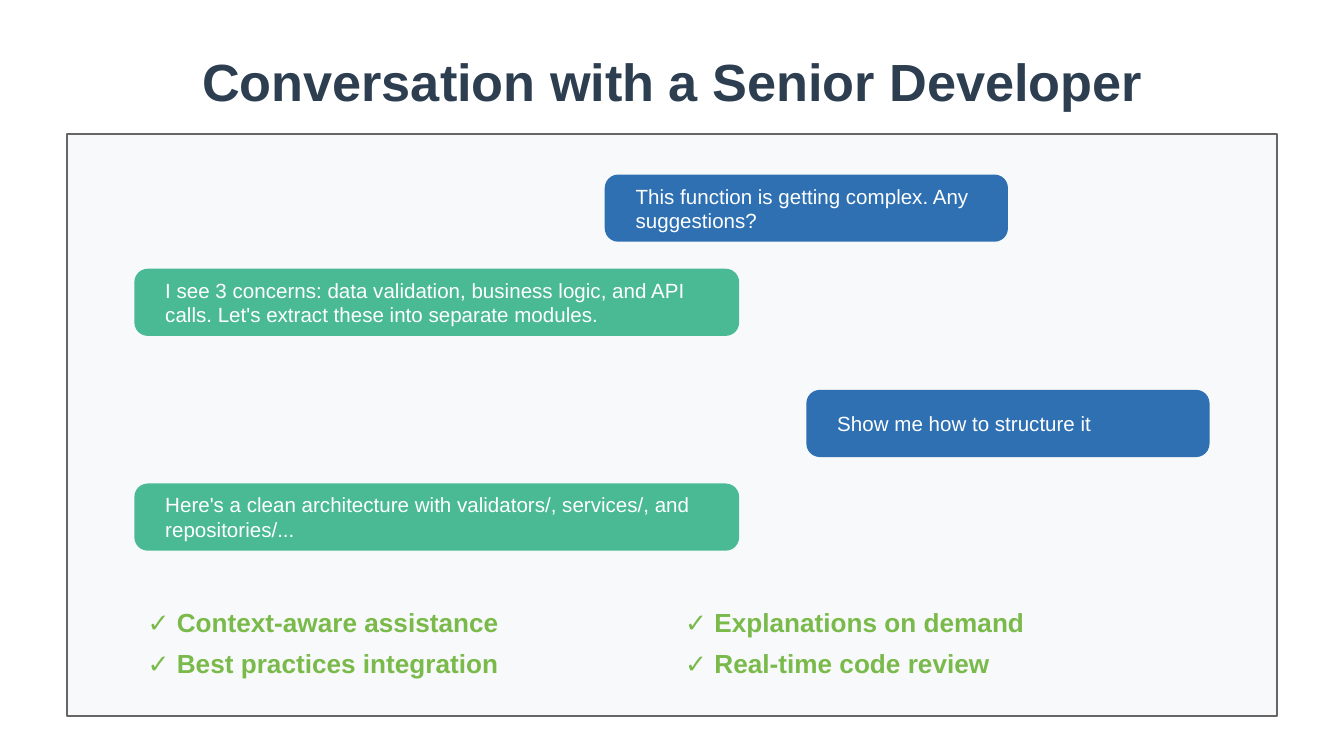
import dataclasses

import pptx
import pptx.dml.color
import pptx.enum.shapes
import pptx.enum.text
import pptx.oxml
import pptx.oxml.ns
import pptx.util

Cm = pptx.util.Cm
Pt = pptx.util.Pt
Anchor = pptx.enum.text.MSO_ANCHOR
Align = pptx.enum.text.PP_ALIGN
Preset = pptx.enum.shapes.MSO_SHAPE


@dataclasses.dataclass(frozen=True)
class Theme:
    font: str = "Arial"
    heading: str = "2C3E50"
    panel: str = "F8F9FA"
    border: str = "666666"
    question: str = "2E70B2"
    answer: str = "4ABA95"
    message: str = "FFFFFF"
    benefit: str = "79BA4A"
    title_size: float = 28
    message_size: float = 11
    benefit_size: float = 14
    benefit_spacing: float = 21.6


THEME = Theme()

MESSAGES = [
    (THEME.question, 11.43, 3.3, 7.62,
     "This function is getting complex. Any suggestions?"),
    (THEME.answer, 2.54, 5.08, 11.43,
     "I see 3 concerns: data validation, business logic, and API calls. "
     "Let's extract these into separate modules."),
    (THEME.question, 15.24, 7.37, 7.62, "Show me how to structure it"),
    (THEME.answer, 2.54, 9.14, 11.43,
     "Here's a clean architecture with validators/, services/, and repositories/..."),
]

BENEFITS = [
    (2.54, ["✓ Context-aware assistance", "✓ Best practices integration"]),
    (12.7, ["✓ Explanations on demand", "✓ Real-time code review"]),
]


def rgb(color):
    return pptx.dml.color.RGBColor.from_string(color)


def place(item, left, top, width, height):
    item.left, item.top, item.width, item.height = map(Cm, (left, top, width, height))


def set_frame(frame, anchor, side=0.25, edge=0.13):
    frame.word_wrap = True
    frame.auto_size = pptx.enum.text.MSO_AUTO_SIZE.NONE
    frame.vertical_anchor = anchor
    frame.margin_left = frame.margin_right = Cm(side)
    frame.margin_top = frame.margin_bottom = Cm(edge)


def add_text(paragraph, text, size, color, bold=False, align=Align.LEFT):
    paragraph.alignment = align
    run = paragraph.add_run()
    run.text = text
    run.font.name = THEME.font
    run.font.size = Pt(size)
    run.font.bold = bold
    run.font.color.rgb = rgb(color)


def add_block(slide, preset, fill, *box):
    block = slide.shapes.add_shape(preset, *map(Cm, box))
    block.shadow.inherit = False
    block.fill.solid()
    block.fill.fore_color.rgb = rgb(fill)
    block.line.fill.background()
    return block


def add_panel(slide):
    panel = add_block(slide, Preset.RECTANGLE, THEME.panel, 1.27, 2.54, 22.86, 11)
    panel.line.color.rgb = rgb(THEME.border)
    panel.line.width = Pt(1)
    slide.shapes.element.insert(2, panel.element)


def add_message(slide, fill, left, top, width, text):
    bubble = add_block(slide, Preset.ROUNDED_RECTANGLE, fill, left, top, width, 1.27)
    bubble.adjustments[0] = 0.2
    set_frame(bubble.text_frame, Anchor.MIDDLE, side=0.51)
    add_text(bubble.text_frame.paragraphs[0], text, THEME.message_size, THEME.message)


def fill_title(title, text):
    place(title, 1.27, 0.76, 22.86, 1.52)
    set_frame(title.text_frame, Anchor.MIDDLE)
    add_text(title.text_frame.paragraphs[0], text, THEME.title_size,
             THEME.heading, bold=True, align=Align.CENTER)


def fill_benefits(column, left, benefits):
    place(column, left, 11.3, 8.89, 1.52)
    frame = column.text_frame
    set_frame(frame, Anchor.TOP, edge=0)
    for index, benefit in enumerate(benefits):
        paragraph = frame.add_paragraph() if index else frame.paragraphs[0]
        paragraph.line_spacing = Pt(THEME.benefit_spacing)
        paragraph.space_before = paragraph.space_after = Pt(0)
        add_text(paragraph, benefit, THEME.benefit_size, THEME.benefit, bold=True)
        properties = paragraph._p.get_or_add_pPr()
        properties.set("marL", "0")
        properties.set("indent", "0")
        properties.append(pptx.oxml.parse_xml(
            f"<a:buNone {pptx.oxml.ns.nsdecls('a')}/>"))


def main():
    deck = pptx.Presentation()
    deck.slide_width, deck.slide_height = Cm(25.4), Cm(14.29)
    two_content = deck.slide_layouts[3]
    slide = deck.slides.add_slide(two_content)

    add_panel(slide)
    fill_title(slide.shapes.title, "Conversation with a Senior Developer")
    for message in MESSAGES:
        add_message(slide, *message)
    for index, (left, benefits) in enumerate(BENEFITS, start=1):
        fill_benefits(slide.placeholders[index], left, benefits)

    deck.save("out.pptx")


if __name__ == "__main__":
    main()
